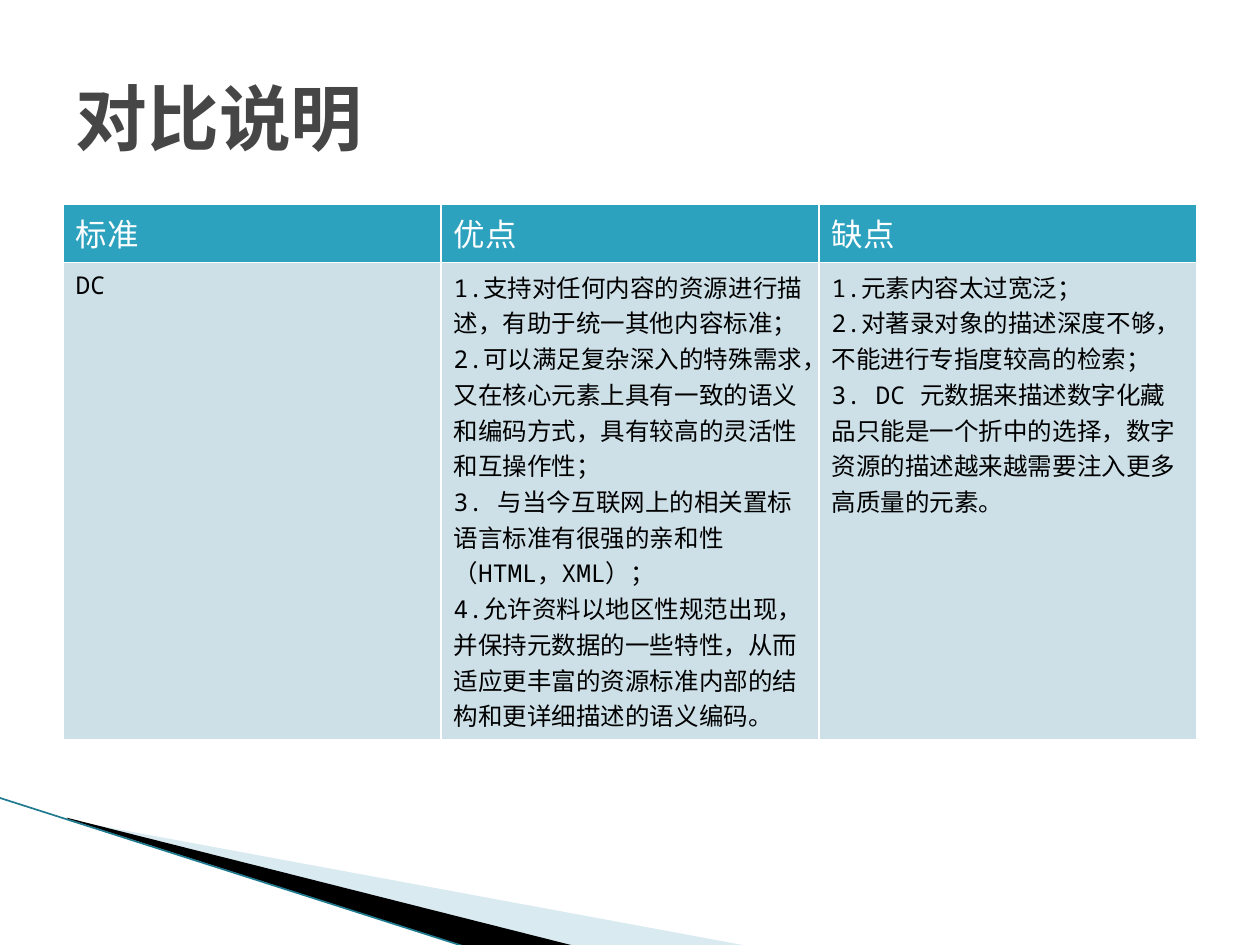
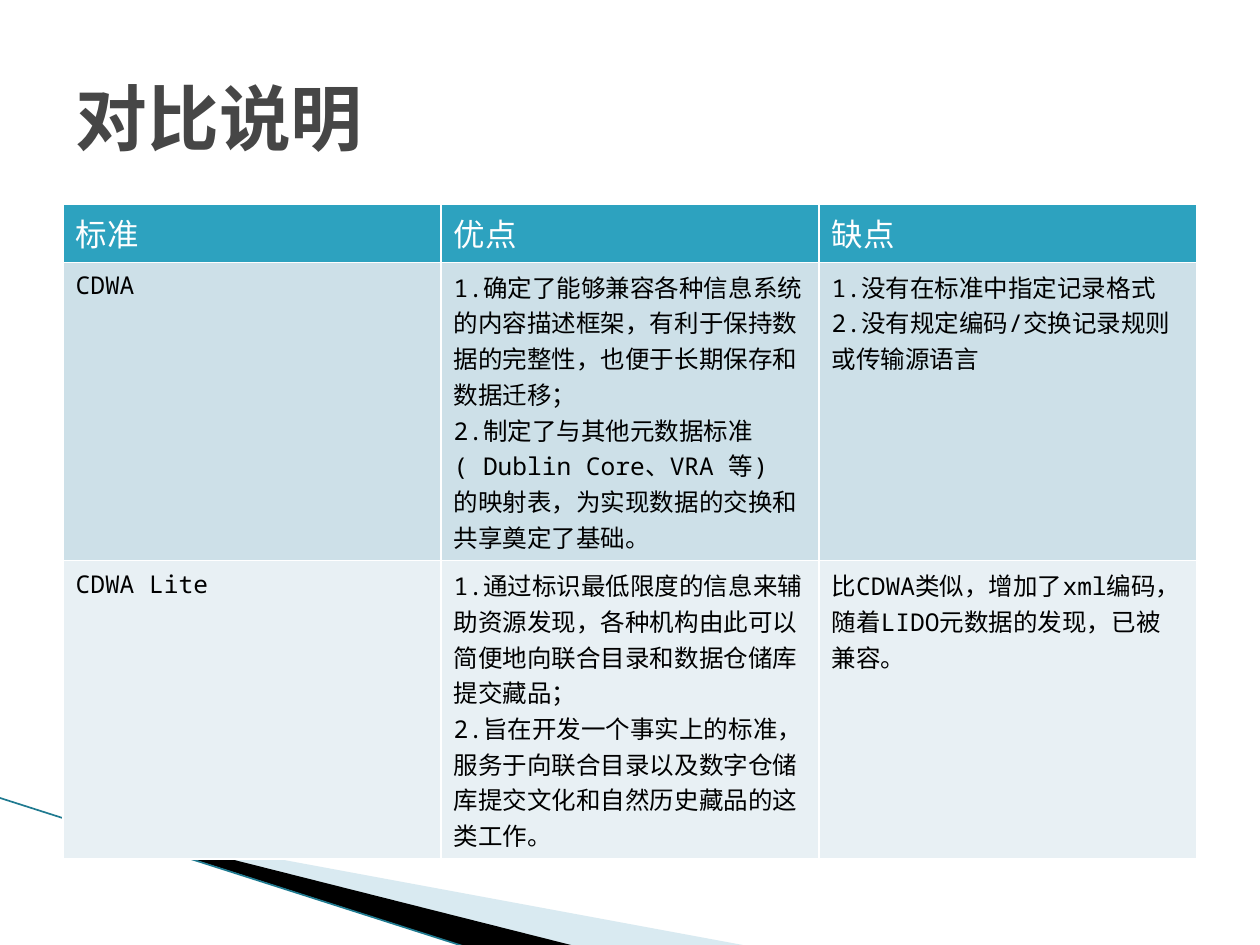
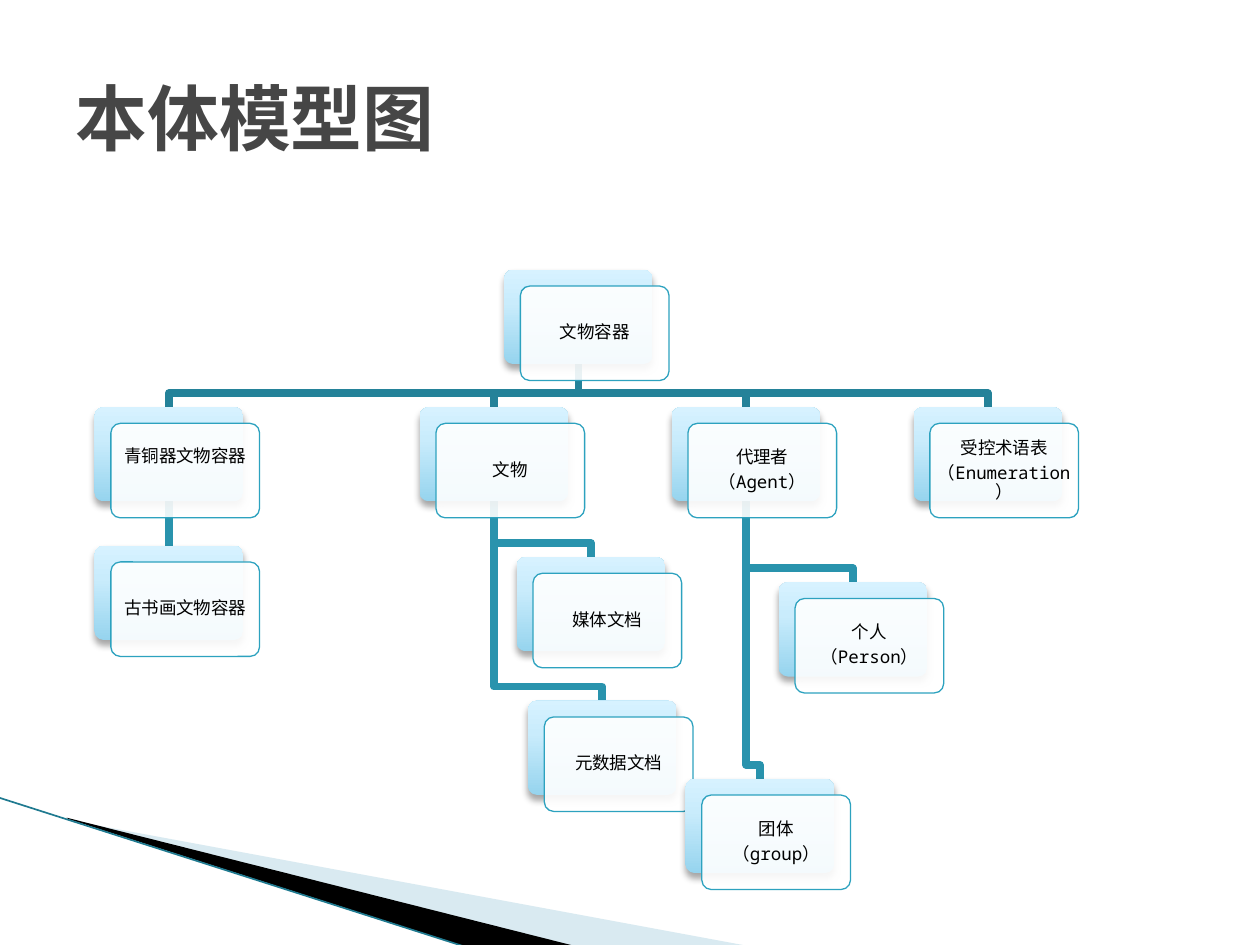
from lxml.etree import SubElement
from pptx import Presentation
from pptx.dml.color import RGBColor
from pptx.enum.lang import MSO_LANGUAGE_ID as Language
from pptx.enum.shapes import MSO_CONNECTOR as Connector, MSO_SHAPE as Preset
from pptx.enum.text import MSO_ANCHOR as Anchor, PP_ALIGN as Align
from pptx.oxml.ns import qn
from pptx.util import Inches, Pt

FONT = "Noto Sans Mono"
WHITE, BLACK, ACCENT = "FFFFFF", "000000", "2DA2BF"
TITLE_COLOR, BAND_LIGHT, BAND_EDGE = "464646", "A0CBDC", "1F7A90"
ROW_FILLS = ("CDE0E8", "E8F0F4")
TRUNK, BRANCH = "248299", "2993AD"
GRADIENT = ((0, "96D4EE"), (65, "C9ECFC"), (100, "D7F2FF"))
CARD_WIDTH, CARD_HEIGHT, CARD_OFFSET, ELBOW_RISE = 1.18, 0.75, 0.13, 0.11

HEADER = ("标准", "优点", "缺点")
DC_ROWS = [
    (
        "DC",
        "1.支持对任何内容的资源进行描述，有助于统一其他内容标准；\n"
        "2.可以满足复杂深入的特殊需求，又在核心元素上具有一致的语义和编码方式，具有较高的灵活性和互操作性；\n"
        "3. 与当今互联网上的相关置标语言标准有很强的亲和性（HTML，XML）；\n"
        "4.允许资料以地区性规范出现，并保持元数据的一些特性，从而适应更丰富的资源标准内部的结构和更详细描述的语义编码。",
        "1.元素内容太过宽泛；\n"
        "2.对著录对象的描述深度不够，不能进行专指度较高的检索；\n"
        "3. DC 元数据来描述数字化藏品只能是一个折中的选择，数字资源的描述越来越需要注入更多高质量的元素。",
    ),
]
CDWA_ROWS = [
    (
        "CDWA",
        "1.确定了能够兼容各种信息系统的内容描述框架，有利于保持数据的完整性，也便于长期保存和数据迁移；\n"
        "2.制定了与其他元数据标准( Dublin Core、VRA 等) 的映射表，为实现数据的交换和共享奠定了基础。",
        "1.没有在标准中指定记录格式\n"
        "2.没有规定编码/交换记录规则或传输源语言",
    ),
    (
        "CDWA Lite",
        "1.通过标识最低限度的信息来辅助资源发现，各种机构由此可以简便地向联合目录和数据仓储库提交藏品；\n"
        "2.旨在开发一个事实上的标准，服务于向联合目录以及数字仓储库提交文化和自然历史藏品的这类工作。",
        "比CDWA类似，增加了xml编码，随着LIDO元数据的发现，已被兼容。",
    ),
]
ROOT = "文物容器"
NODES = {
    ROOT: (4, 2.14, None),
    "青铜器文物容器": (0.75, 3.23, ROOT),
    "古书画文物容器": (0.75, 4.33, "青铜器文物容器"),
    "文物": (3.33, 3.23, ROOT),
    "媒体文档": (4.1, 4.42, "文物"),
    "元数据文档": (4.19, 5.56, "文物"),
    "代理者\n（Agent）": (5.33, 3.23, ROOT),
    "个人\n（Person）": (6.18, 4.62, "代理者\n（Agent）"),
    "团体\n（group）": (5.44, 6.18, "代理者\n（Agent）"),
    "受控术语表\n（Enumeration）": (7.25, 3.23, ROOT),
}
RAISED_TEXT = {"青铜器文物容器": 0.26}


def color(value):
    """Turn a hex string into a colour."""
    return RGBColor.from_string(value)


def apply(target, values):
    """Set every attribute named in a dict."""
    for name, value in values.items():
        setattr(target, name, value)


def box(left, top, width, height):
    """Return a position and size in inches."""
    return [Inches(value) for value in (left, top, width, height)]


def write_text(frame, text, size, hex_color, bold=False, east_asian=True, **paragraph_format):
    """Write each line of text as a formatted paragraph."""
    frame.text = text
    font_format = {"name": FONT, "size": Pt(size), "bold": bold,
                   "language_id": Language.SIMPLIFIED_CHINESE}
    for paragraph in frame.paragraphs:
        apply(paragraph, paragraph_format)
        for run in paragraph.runs:
            apply(run.font, font_format)
            run.font.color.rgb = color(hex_color)
            if east_asian:
                SubElement(run.font._element, qn("a:ea"), typeface=FONT)


def fill_solid(shape, hex_color, opacity=100):
    """Fill a shape with one colour and an opacity in percent."""
    shape.fill.solid()
    shape.fill.fore_color.rgb = color(hex_color)
    if opacity < 100:
        solid = shape.element.spPr.find(qn("a:solidFill"))
        SubElement(solid[0], qn("a:alpha"), val=str(opacity * 1000))


def fill_gradient(shape):
    """Fill a shape with the vertical card gradient."""
    shape.fill.gradient()
    shape.fill.gradient_angle = 90
    stops = shape.element.spPr.find(".//" + qn("a:gsLst"))
    for stop in list(stops):
        stops.remove(stop)
    for position, value in GRADIENT:
        stop = SubElement(stops, qn("a:gs"), pos=str(position * 1000))
        SubElement(stop, qn("a:srgbClr"), val=value)


def add_soft_shadow(shape):
    """Give a shape a soft shadow below it."""
    effects = shape.element.spPr.find(qn("a:effectLst"))
    shadow = SubElement(effects, qn("a:outerShdw"), blurRad=str(Pt(4)), dist=str(Pt(3)),
                        dir="5400000", rotWithShape="0")
    tone = SubElement(shadow, qn("a:srgbClr"), val=BLACK)
    SubElement(tone, qn("a:alpha"), val="35000")


def style_line(shape, hex_color, width):
    """Set the colour and width of an outline."""
    shape.line.color.rgb = color(hex_color)
    shape.line.width = Pt(width)


def add_freeform(slide, points, close):
    """Draw a path through points given in inches."""
    start, *others = [(Inches(x), Inches(y)) for x, y in points]
    builder = slide.shapes.build_freeform(*start)
    builder.add_line_segments(others, close=close)
    shape = builder.convert_to_shape()
    shape.shadow.inherit = False
    return shape


def add_bands(slide):
    """Draw the corner bands and hand them to the slide's layout."""
    bands = (
        ([(0.55, 6.51), (5.95, 7.51), (4.56, 7.51), (0.55, 6.5)], BAND_LIGHT, 40),
        ([(0.53, 6.49), (4.57, 7.51), (3.72, 7.52), (0.54, 6.5)], BLACK, 100),
    )
    shapes = []
    for points, value, opacity in bands:
        band = add_freeform(slide, points, True)
        fill_solid(band, value, opacity)
        band.line.fill.background()
        shapes.append(band)
    edge = slide.shapes.add_connector(
        Connector.STRAIGHT, Inches(-0.01), Inches(6.33), Inches(3.71), Inches(7.52))
    style_line(edge, BAND_EDGE, 0.95)
    SubElement(edge.element.spPr, qn("a:effectLst"))
    for shape in shapes + [edge]:
        slide.slide_layout.shapes.element.append(shape.element)


def add_titled_slide(presentation, title):
    """Add a slide with its formatted title."""
    slide = presentation.slides.add_slide(presentation.slide_layouts[5])
    shape = slide.shapes.title
    apply(shape, dict(zip(("left", "top", "width", "height"), box(0.5, 0.3, 9, 1.25))))
    shape.text_frame.vertical_anchor = Anchor.MIDDLE
    write_text(shape.text_frame, title, 41, TITLE_COLOR, True, alignment=Align.LEFT)
    return slide


def add_cell_borders(cell):
    """Draw white borders round a cell."""
    properties = cell._tc.get_or_add_tcPr()
    for index, side in enumerate("LRTB"):
        border = SubElement(properties, qn("a:ln" + side), w=str(Pt(1)))
        SubElement(SubElement(border, qn("a:solidFill")), qn("a:srgbClr"), val=WHITE)
        properties.insert(index, border)


def add_comparison_table(slide, rows):
    """Add a table of standards with a header row."""
    lines = [HEADER] + rows
    frame = slide.shapes.add_table(
        len(lines), len(HEADER), *box(0.5, 1.62, 9, 0.41 * len(lines)))
    for row_index, texts in enumerate(lines):
        is_header = row_index == 0
        fill = ACCENT if is_header else ROW_FILLS[(row_index - 1) % 2]
        for column_index, text in enumerate(texts):
            cell = frame.table.cell(row_index, column_index)
            cell.fill.solid()
            cell.fill.fore_color.rgb = color(fill)
            add_cell_borders(cell)
            write_text(cell.text_frame, text, 18 if is_header else 14,
                       WHITE if is_header else BLACK, east_asian=False)


def add_branch(slide, parent, child):
    """Join two nodes with an elbow line."""
    start_x, end_x = (node[0] + CARD_WIDTH / 2 for node in (parent, child))
    turn_y = child[1] - ELBOW_RISE
    points = [(start_x, parent[1] + CARD_HEIGHT), (start_x, turn_y),
              (end_x, turn_y), (end_x, child[1])]
    branch = add_freeform(slide, points, False)
    branch.fill.background()
    style_line(branch, TRUNK if parent[2] is None else BRANCH, 4.33)


def add_rounded_box(slide, left, top):
    """Add a rounded box of card size."""
    shape = slide.shapes.add_shape(
        Preset.ROUNDED_RECTANGLE, *box(left, top, CARD_WIDTH, CARD_HEIGHT))
    shape.adjustments[0] = 0.1
    shape.shadow.inherit = False
    return shape


def add_card(slide, text, left, top):
    """Add a shaded box with a translucent text box over it."""
    back = add_rounded_box(slide, left, top)
    fill_gradient(back)
    back.line.fill.background()
    add_soft_shadow(back)
    front = add_rounded_box(slide, left + CARD_OFFSET, top + CARD_OFFSET)
    fill_solid(front, WHITE, 90)
    style_line(front, ACCENT, 0.75)
    apply(front.text_frame, {
        "word_wrap": True, "vertical_anchor": Anchor.MIDDLE,
        "margin_left": Inches(0.02), "margin_right": Inches(0.02),
        "margin_top": Inches(0.04),
        "margin_bottom": Inches(RAISED_TEXT.get(text, 0.04)),
    })
    write_text(front.text_frame, text, 10, BLACK, alignment=Align.CENTER,
               line_spacing=0.9, space_after=Pt(3.5))


def add_model_tree(slide):
    """Draw the branches and then the cards of the model."""
    for node in NODES.values():
        if node[2]:
            add_branch(slide, NODES[node[2]], node)
    for text, (left, top, _) in NODES.items():
        add_card(slide, text, left, top)


def main():
    """Build the three slides and save them."""
    presentation = Presentation()
    apply(presentation, {"slide_width": Inches(10), "slide_height": Inches(7.5)})
    for index, rows in enumerate((DC_ROWS, CDWA_ROWS)):
        slide = add_titled_slide(presentation, "对比说明")
        if index == 0:
            add_bands(slide)
        add_comparison_table(slide, rows)
    add_model_tree(add_titled_slide(presentation, "本体模型图"))
    presentation.save("out.pptx")


main()
